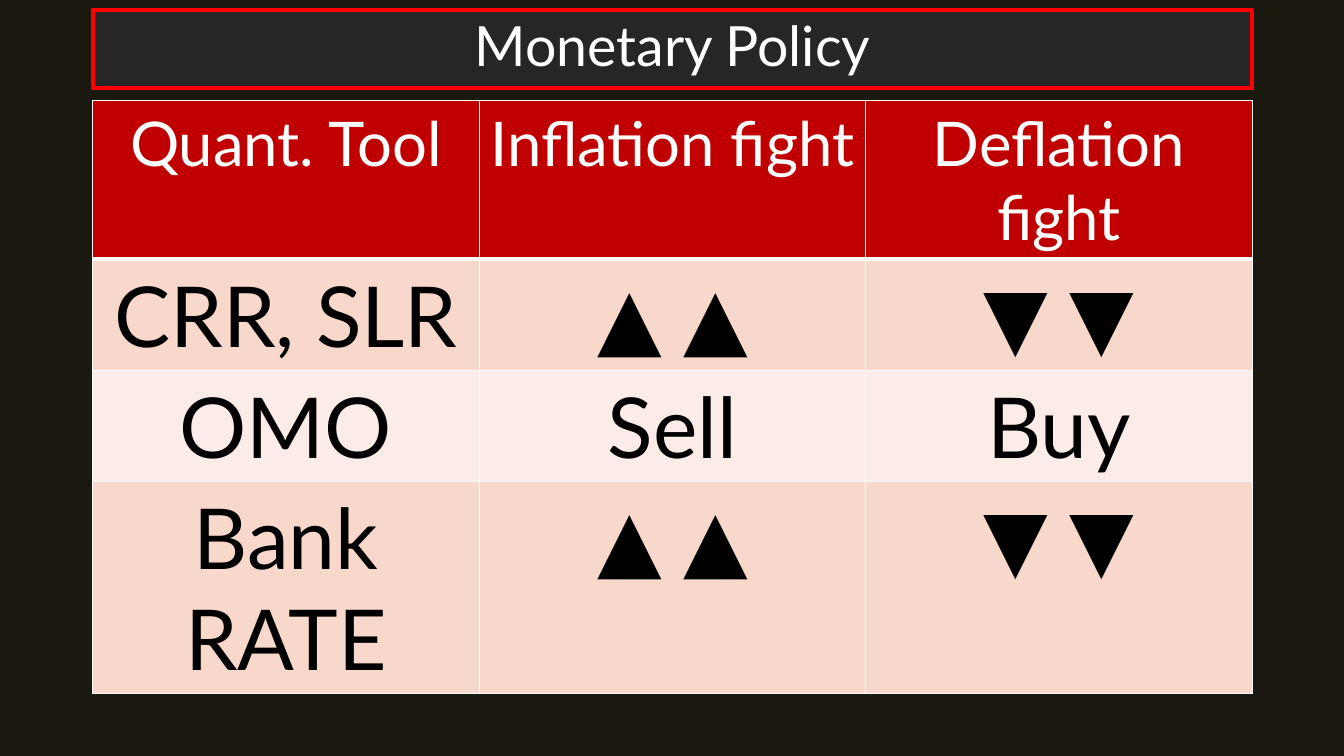
import dataclasses

import lxml.etree
import pptx
import pptx.dml.color
import pptx.enum.shapes
import pptx.enum.text
import pptx.oxml.ns
import pptx.util

Inches = pptx.util.Inches


@dataclasses.dataclass(frozen=True)
class Theme:
    """Colours, font and type sizes of the slide."""
    background: str = "1B1810"
    panel: str = "262626"
    outline: str = "FF0000"
    header: str = "C00000"
    bands: tuple = ("F9D8CC", "FCECE7")
    light: str = "FFFFFF"
    dark: str = "000000"
    font: str = "Lato"
    title_size: float = 39.6
    header_size: int = 44
    body_size: int = 60
    rule_width: int = 1
    header_rule_width: int = 3


THEME = Theme()
ROWS = (
    ("Quant. Tool", "Inflation fight", "Deflation fight"),
    ("CRR, SLR", "▲ ▲", "▼ ▼"),
    ("OMO", "Sell", "Buy"),
    ("Bank\nRATE", "▲ ▲", "▼ ▼"),
)
ROW_HEIGHTS = (1.57, 1.1, 1.1, 2.1)


def rgb(value):
    """Return a colour for a hex string."""
    return pptx.dml.color.RGBColor.from_string(value)


def paint(target, color):
    """Give a shape, cell or background a solid fill."""
    target.fill.solid()
    target.fill.fore_color.rgb = rgb(color)


def write(frame, text, size, color):
    """Write centred text, one paragraph for each line."""
    frame.text = text
    for para in frame.paragraphs:
        para.alignment = pptx.enum.text.PP_ALIGN.CENTER
        for span in para.runs:
            span.font.name = THEME.font
            span.font.size = pptx.util.Pt(size)
            span.font.color.rgb = rgb(color)


def add_borders(cell, bottom_width):
    """Rule all four sides of a table cell."""
    qn = pptx.oxml.ns.qn
    properties = cell._tc.get_or_add_tcPr()
    for side in ("L", "R", "T", "B"):
        width = bottom_width if side == "B" else THEME.rule_width
        line = lxml.etree.SubElement(properties, qn(f"a:ln{side}"), w=str(pptx.util.Pt(width)))
        fill = lxml.etree.SubElement(line, qn("a:solidFill"))
        lxml.etree.SubElement(fill, qn("a:srgbClr"), val=THEME.light)


def add_title(page, left, top, width, height):
    """Place the outlined title bar."""
    box = page.shapes.add_shape(
        pptx.enum.shapes.MSO_SHAPE.ROUNDED_RECTANGLE,
        Inches(left), Inches(top), Inches(width), Inches(height))
    box.adjustments[0] = 0
    box.shadow.inherit = False
    paint(box, THEME.panel)
    box.line.color.rgb = rgb(THEME.outline)
    box.line.width = pptx.util.Pt(3)
    box.text_frame.word_wrap = True
    box.text_frame.vertical_anchor = pptx.enum.text.MSO_ANCHOR.MIDDLE
    write(box.text_frame, "Monetary Policy", THEME.title_size, THEME.light)
    box.text_frame.paragraphs[0].line_spacing = 0.9


def add_policy_table(page, left, top, width):
    """Place the table of policy tools."""
    table = page.shapes.add_table(
        len(ROWS), len(ROWS[0]), Inches(left), Inches(top),
        Inches(width), Inches(sum(ROW_HEIGHTS))).table
    for index, (texts, height) in enumerate(zip(ROWS, ROW_HEIGHTS)):
        table.rows[index].height = Inches(height)
        if index == 0:
            style = THEME.header, THEME.header_size, THEME.light, THEME.header_rule_width
        else:
            band = THEME.bands[(index - 1) % 2]
            style = band, THEME.body_size, THEME.dark, THEME.rule_width
        fill, size, color, bottom_width = style
        for cell, text in zip(table.rows[index].cells, texts):
            add_borders(cell, bottom_width)
            paint(cell, fill)
            write(cell.text_frame, text, size, color)
            for span in (run for para in cell.text_frame.paragraphs for run in para.runs):
                span.font.bold = False


def main():
    """Build and save the slide."""
    deck = pptx.Presentation()
    deck.slide_width, deck.slide_height = Inches(13.33), Inches(7.5)
    page = deck.slides.add_slide(deck.slide_layouts[6])
    paint(page.background, THEME.background)
    left, width = 0.92, 11.5
    add_policy_table(page, left, 1, width)
    add_title(page, left, 0.1, width, 0.77)
    deck.save("out.pptx")


if __name__ == "__main__":
    main()
